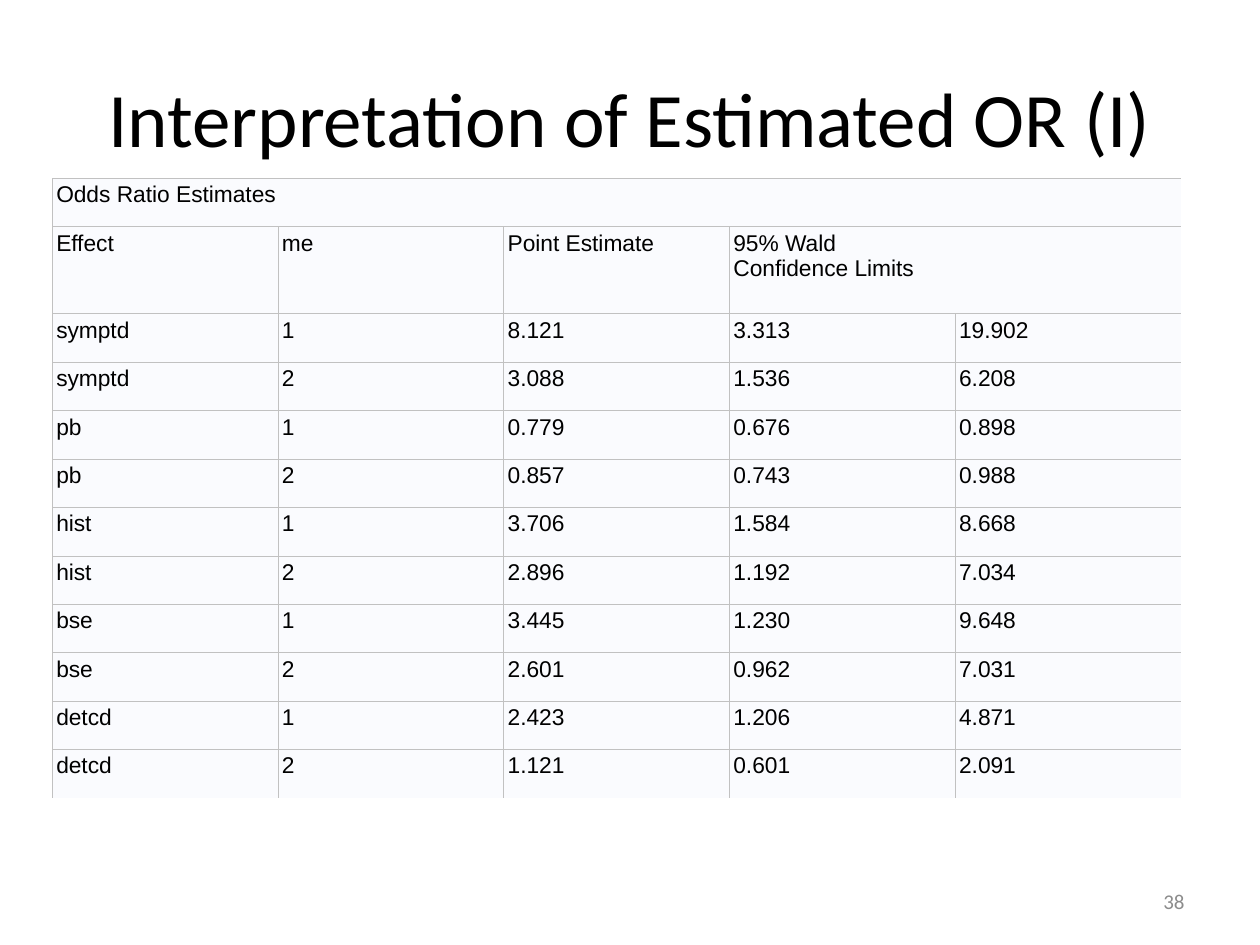
from copy import deepcopy

from lxml.etree import SubElement
from pptx import Presentation
from pptx.dml.color import RGBColor
from pptx.enum.text import MSO_ANCHOR, PP_ALIGN
from pptx.oxml.ns import qn
from pptx.util import Pt

HEADER_ROWS = [
    ["Odds Ratio Estimates", "", "", "", ""],
    ["Effect", "me", "Point Estimate", "95% Wald\nConfidence Limits", ""],
]
ESTIMATES = [
    ["symptd", "1", "8.121", "3.313", "19.902"],
    ["symptd", "2", "3.088", "1.536", "6.208"],
    ["pb", "1", "0.779", "0.676", "0.898"],
    ["pb", "2", "0.857", "0.743", "0.988"],
    ["hist", "1", "3.706", "1.584", "8.668"],
    ["hist", "2", "2.896", "1.192", "7.034"],
    ["bse", "1", "3.445", "1.230", "9.648"],
    ["bse", "2", "2.601", "0.962", "7.031"],
    ["detcd", "1", "2.423", "1.206", "4.871"],
    ["detcd", "2", "1.121", "0.601", "2.091"],
]


def color(value):
    return RGBColor.from_string(value)


def write(frame, text, size=13, font="Arial", fill="000000", align=PP_ALIGN.LEFT):
    para = frame.paragraphs[0]
    para.text = text
    para.alignment = align
    for span in para.runs:
        span.font.size = Pt(size)
        span.font.name = font
        span.font.color.rgb = color(fill)
    # Line breaks take the size of the text around them
    for line_break in para._p.findall(qn("a:br")):
        line_break.append(deepcopy(para.runs[0]._r.rPr))


class SlideBuilder:
    cell_fill = "FAFBFE"
    border_color = "C1C1C1"
    border_width = 0.6
    cell_margin = 2.16

    def __init__(self, slide):
        self.slide = slide

    def text(self, text, left, top, width, height, **style):
        box = self.slide.shapes.add_textbox(Pt(left), Pt(top), Pt(width), Pt(height))
        frame = box.text_frame
        frame.word_wrap = True
        frame.vertical_anchor = MSO_ANCHOR.MIDDLE
        write(frame, text, **style)

    def border(self, cell, sides):
        properties = cell._tc.get_or_add_tcPr()
        for position, side in enumerate("LRTB"):
            line = SubElement(properties, qn(f"a:ln{side}"))
            properties.insert(position, line)
            if side in sides:
                line.set("w", str(Pt(self.border_width)))
                solid = SubElement(line, qn("a:solidFill"))
                SubElement(solid, qn("a:srgbClr")).set("val", self.border_color)
            else:
                line.set("w", "0")
                SubElement(line, qn("a:noFill"))

    def table(self, rows, merges, left, top, column_width, row_heights):
        column_count = len(rows[0])
        table = self.slide.shapes.add_table(
            len(rows), column_count, Pt(left), Pt(top),
            Pt(column_width * column_count), Pt(sum(row_heights))).table
        table.first_row = False
        table.horz_banding = False
        for column in table.columns:
            column.width = Pt(column_width)
        for row, height in zip(table.rows, row_heights):
            row.height = Pt(height)
        for row, first, last in merges:
            table.cell(row, first).merge(table.cell(row, last))

        # The right and bottom edges of the table stay open
        for row_index, values in enumerate(rows):
            for column_index, value in enumerate(values):
                cell = table.cell(row_index, column_index)
                cell.margin_left = cell.margin_right = Pt(self.cell_margin)
                cell.margin_top = cell.margin_bottom = Pt(self.cell_margin)
                cell.fill.solid()
                cell.fill.fore_color.rgb = color(self.cell_fill)
                write(cell.text_frame, value)
                sides = "T" if cell.is_spanned else "LT"
                if column_index + cell.span_width < column_count and not cell.is_spanned:
                    sides += "R"
                if row_index < len(rows) - 1:
                    sides += "B"
                self.border(cell, sides)


def main():
    deck = Presentation()
    deck.slide_width, deck.slide_height = Pt(720), Pt(540)
    page = SlideBuilder(deck.slides.add_slide(deck.slide_layouts[6]))

    # Title
    page.text("Interpretation of Estimated OR (I)", 36, 21.6, 648, 90,
              size=44, font="Calibri", align=PP_ALIGN.CENTER)

    # Slide number
    page.text("38", 516, 500.5, 168, 28.75,
              size=12, font="Calibri", fill="8C8C8C", align=PP_ALIGN.RIGHT)

    # Odds ratio table
    row_heights = [27.67, 49.7] + [27.67] * len(ESTIMATES)
    page.table(HEADER_ROWS + ESTIMATES, [(0, 0, 4), (1, 3, 4)],
               30, 102, 129, row_heights)

    deck.save("out.pptx")


if __name__ == "__main__":
    main()
